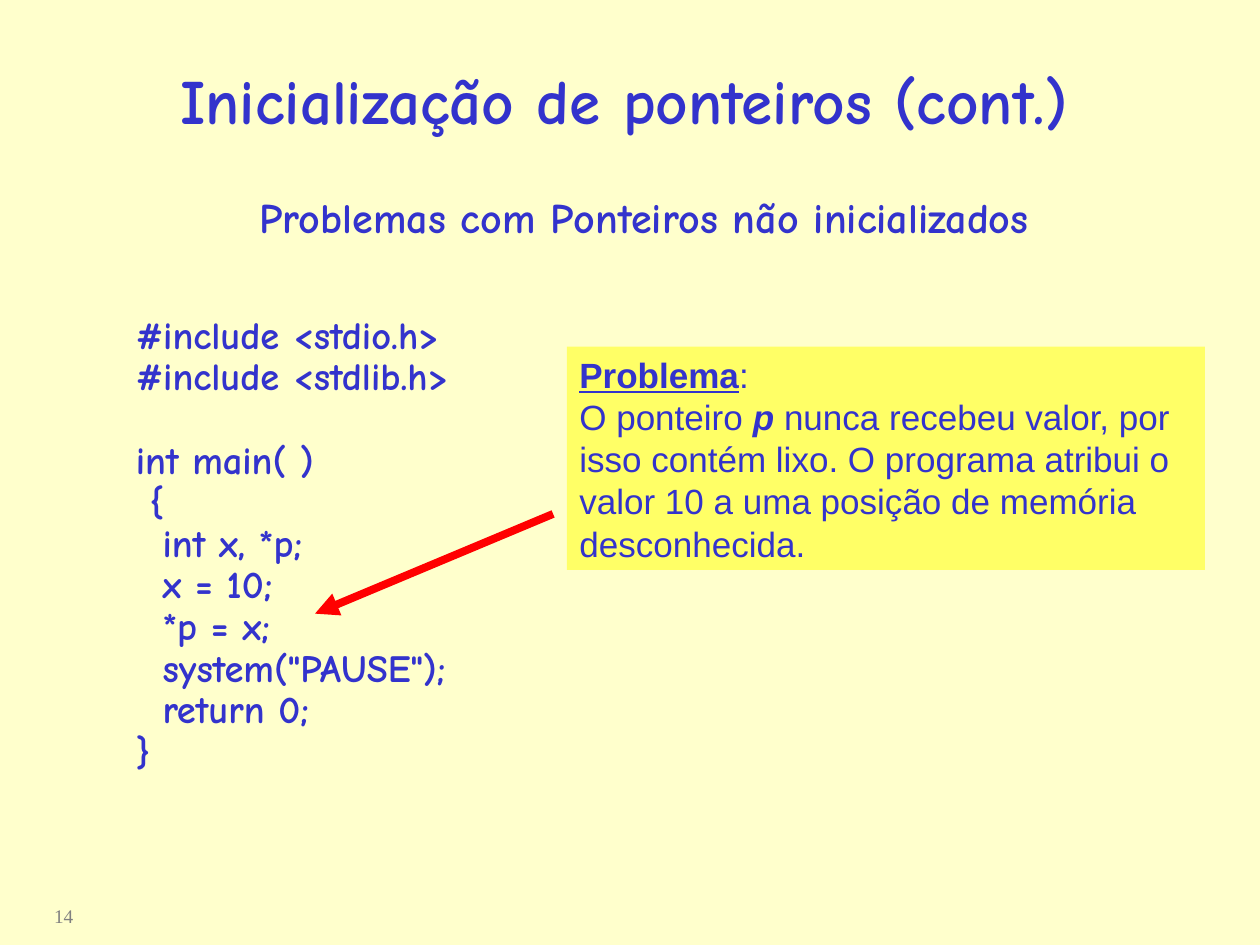
from dataclasses import dataclass
from typing import Any

from pptx import Presentation
from pptx import util as u
from pptx.dml.color import RGBColor
from pptx.enum import shapes, text
from pptx.oxml.ns import qn
from lxml import etree

CREAM = RGBColor(0xFF, 0xFF, 0xCC)
YELLOW = RGBColor(0xFF, 0xFF, 0x66)
BLUE = RGBColor(0x33, 0x33, 0xCC)
GREY = RGBColor(0x80, 0x80, 0x80)
RED = RGBColor(0xFF, 0x00, 0x00)

INDENT = 0.27
CODE = [
    (0, "#include <stdio.h>"), (0, "#include <stdlib.h>"),
    (0, "int main( )"), (1, "{"), (2, "int x, *p;"), (2, "x = 10;"),
    (2, "*p = x;"), (2, 'system("PAUSE");'), (2, "return 0;"), (0, "}"),
]
PROBLEM = [
    [("Problema", {"bold": True, "underline": True}), (":", {})],
    [("O ponteiro ", {}), ("p", {"bold": True, "italic": True}),
     (" nunca recebeu valor, por isso contém lixo. O programa atribui o "
      "valor 10 a uma posição de memória desconhecida.", {})],
]


def apply(target, values):
    for name, value in values.items():
        setattr(target, name, value)


@dataclass
class Lesson:
    """Style of the lesson and the slide being built."""
    slide: Any
    comic: str = "Comic Neue"
    sans: str = "Arial"
    serif: str = "Times New Roman"

    def add_runs(self, paragraph, runs, font, size, color=BLUE, **layout):
        apply(paragraph, layout)
        for words, style in runs:
            run = paragraph.add_run()
            run.text = words
            apply(run.font, {"name": font, "size": u.Pt(size), **style})
            run.font.color.rgb = color

    def place(self, shape, box, anchor=text.MSO_ANCHOR.TOP):
        apply(shape, dict(zip(("left", "top", "width", "height"), map(u.Cm, box))))
        apply(shape.text_frame, {"word_wrap": True, "vertical_anchor": anchor,
                                 "auto_size": text.MSO_AUTO_SIZE.NONE})
        return shape.text_frame

    def box(self, box, anchor=text.MSO_ANCHOR.TOP):
        return self.place(self.slide.shapes.add_textbox(0, 0, 0, 0), box, anchor)

    def heading(self, frame, words, size):
        self.add_runs(frame.paragraphs[0], [(words, {"bold": True})], self.comic,
                      size, alignment=text.PP_ALIGN.CENTER)

    def title(self, box, words, size):
        frame = self.place(self.slide.shapes.title, box, text.MSO_ANCHOR.MIDDLE)
        self.heading(frame, words, size)

    def banner(self, box, words, size):
        self.heading(self.box(box, text.MSO_ANCHOR.MIDDLE), words, size)

    def number(self, box, words):
        self.add_runs(self.box(box).paragraphs[0], [(words, {})], self.serif, 11,
                      GREY, space_before=u.Pt(6.9))

    def code(self, box, lines, gap_before):
        frame = self.box(box)
        for index, (level, words) in enumerate(lines):
            paragraph = frame.add_paragraph() if index else frame.paragraphs[0]
            gap = u.Pt(23.8) if words == gap_before else u.Pt(0)
            self.add_runs(paragraph, [(words, {"bold": True})], self.comic, 22,
                          line_spacing=0.9, space_before=gap)
            paragraph._p.get_or_add_pPr().set("marL", str(u.Cm(INDENT * level)))

    def note(self, box, paragraphs):
        panel = self.slide.shapes.add_shape(shapes.MSO_SHAPE.RECTANGLE, 0, 0, 0, 0)
        panel.shadow.inherit = False
        panel.fill.solid()
        panel.fill.fore_color.rgb = YELLOW
        panel.line.fill.background()
        frame = self.place(panel, box)
        for index, runs in enumerate(paragraphs):
            paragraph = frame.add_paragraph() if index else frame.paragraphs[0]
            self.add_runs(paragraph, runs, self.sans, 20, line_spacing=u.Pt(24.15),
                          alignment=text.PP_ALIGN.LEFT)

    def arrow(self, start, end):
        pointer = self.slide.shapes.add_connector(
            shapes.MSO_CONNECTOR.STRAIGHT, *map(u.Cm, start + end))
        pointer.line.color.rgb = RED
        pointer.line.width = u.Pt(4.5)
        etree.SubElement(pointer.line._get_or_add_ln(), qn("a:tailEnd"), type="triangle")
        etree.SubElement(pointer._element.spPr, qn("a:effectLst"))


def main():
    deck = Presentation()
    apply(deck, {"slide_width": u.Cm(25.4), "slide_height": u.Cm(19.05)})
    lesson = Lesson(deck.slides.add_slide(deck.slide_layouts[5]))
    background = lesson.slide.background.fill
    background.solid()
    background.fore_color.rgb = CREAM

    lesson.number((0.84, 18.11, 4.88, 0.74), "14")
    lesson.title((2.18, 3.18, 21.6, 2.38),
                 "Problemas com Ponteiros não inicializados", 24)
    lesson.code((2.49, 6.25, 12.7, 9.47), CODE, gap_before="int main( )")
    lesson.note((11.43, 6.99, 12.86, 4.5), PROBLEM)
    lesson.arrow((11.15, 10.36), (6.35, 12.37))
    lesson.banner((1.78, 0.41, 21.6, 3.18), "Inicialização de ponteiros (cont.)", 36)
    deck.save("out.pptx")


if __name__ == "__main__":
    main()
